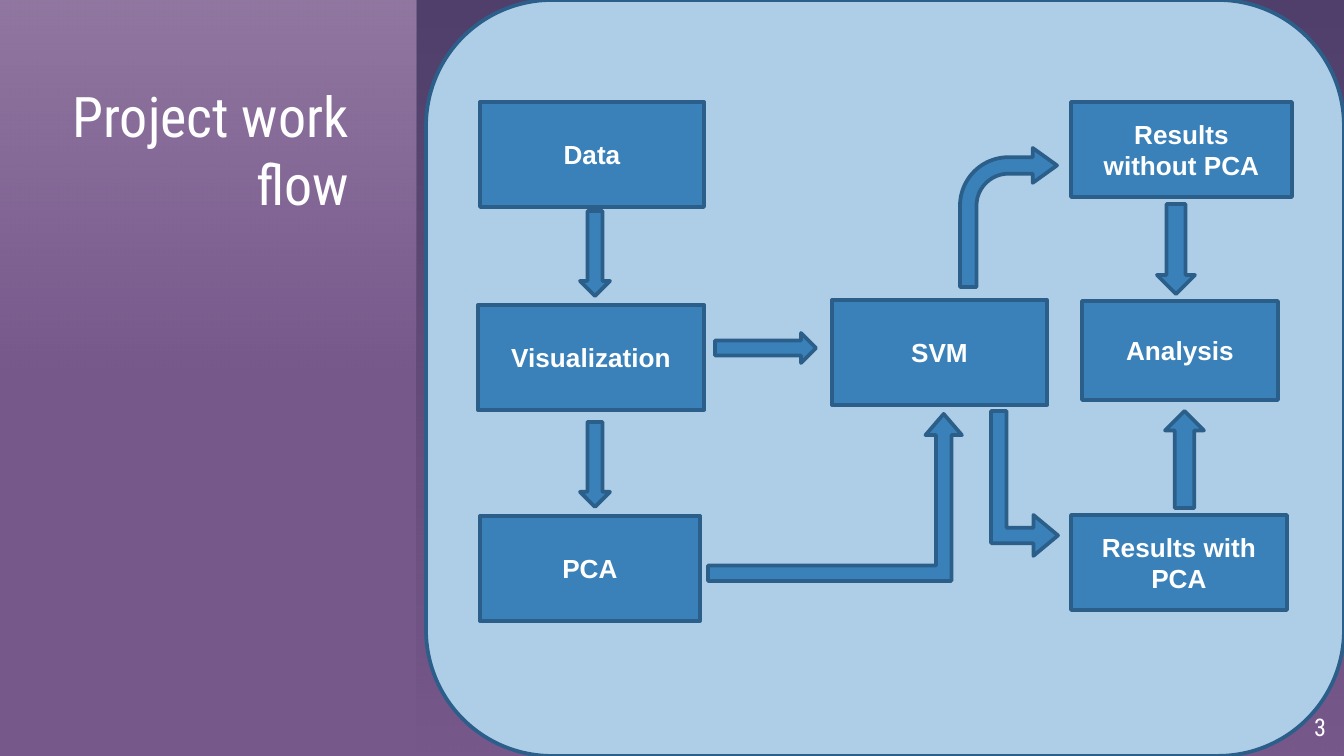
"""Builds the project work flow slide."""
from dataclasses import dataclass

import lxml.etree
import pptx
import pptx.dml.color
import pptx.enum.shapes
import pptx.enum.text
import pptx.oxml.ns
import pptx.util

RGB = pptx.dml.color.RGBColor
KIND = pptx.enum.shapes.MSO_SHAPE
ANCHOR = pptx.enum.text.MSO_ANCHOR
ALIGN = pptx.enum.text.PP_ALIGN
EMU_PER_PIXEL = 914400 / 134.4

PURPLE = RGB(0x77, 0x58, 0x8B)
NAVY = RGB(0x02, 0x0F, 0x2B)
DARK_NAVY = RGB(0x01, 0x0C, 0x16)
WHITE = RGB(0xFF, 0xFF, 0xFF)
PALE_BLUE = RGB(0xAE, 0xCD, 0xE6)
BLUE = RGB(0x3A, 0x81, 0xBA)
DEEP_BLUE = RGB(0x2B, 0x5F, 0x8A)


@dataclass(frozen=True)
class Frame:
    left: int
    top: int
    width: int
    height: int

    def emu(self) -> list[int]:
        return [px(n) for n in (self.left, self.top, self.width, self.height)]


@dataclass(frozen=True)
class Step:
    label: str
    frame: Frame


@dataclass(frozen=True)
class Arrow:
    kind: KIND
    frame: Frame
    bends: tuple[float, ...] = ()
    rotation: int = 0


STEPS = (
    Step("Data", Frame(480, 102, 224, 105)),
    Step("Visualization", Frame(478, 305, 226, 105)),
    Step("PCA", Frame(480, 516, 220, 105)),
    Step("SVM", Frame(832, 300, 215, 105)),
    Step("Results without PCA", Frame(1071, 102, 221, 95)),
    Step("Results with PCA", Frame(1071, 515, 216, 95)),
    Step("Analysis", Frame(1082, 301, 196, 99)),
)

ARROWS = (
    Arrow(KIND.DOWN_ARROW, Frame(580, 211, 30, 85)),
    Arrow(KIND.DOWN_ARROW, Frame(580, 422, 30, 85)),
    Arrow(KIND.RIGHT_ARROW, Frame(715, 333, 101, 30)),
    Arrow(KIND.BENT_UP_ARROW, Frame(708, 414, 254, 167), (0.092, 0.109, 0.127)),
    Arrow(KIND.BENT_ARROW, Frame(960, 148, 97, 139), (0.17, 0.18, 0.25, 0.5)),
    Arrow(KIND.BENT_UP_ARROW, Frame(952, 450, 145, 67), (0.23, 0.305, 0.368), 90),
    Arrow(KIND.DOWN_ARROW, Frame(1157, 204, 38, 90)),
    Arrow(KIND.UP_ARROW, Frame(1165, 411, 39, 97)),
)


def px(pixels: int) -> int:
    return round(pixels * EMU_PER_PIXEL)


def child(parent, tag: str, **attributes: str):
    element = lxml.etree.SubElement(parent, pptx.oxml.ns.qn(tag))
    for name, value in attributes.items():
        element.set(name, value)
    return element


def add_shade(slide, frame: Frame, colors: tuple[RGB, RGB], opacity: int) -> None:
    shade = slide.shapes.add_shape(KIND.RECTANGLE, *frame.emu())
    shade.shadow.inherit = False
    shade.line.fill.background()
    shade.fill.gradient()
    shade.fill.gradient_angle = 270
    stops = shade.fill.gradient_stops
    for stop, color, position in zip(stops, colors, (0, 1)):
        stop.color.rgb = color
        stop.position = position
    alphas = (opacity, 0)
    color_tag = pptx.oxml.ns.qn("a:srgbClr")
    for color, alpha in zip(shade.fill._xPr.iter(color_tag), alphas):
        child(color, "a:alpha", val=str(alpha * 1000))


def add_outlined(slide, kind: KIND, frame: Frame, fill: RGB):
    outlined = slide.shapes.add_shape(kind, *frame.emu())
    outlined.shadow.inherit = False
    outlined.fill.solid()
    outlined.fill.fore_color.rgb = fill
    outlined.line.color.rgb = DEEP_BLUE
    outlined.line.width = pptx.util.Pt(2)
    return outlined


def format_text(text_frame, align: ALIGN, font: str, size: int, bold: bool) -> None:
    text_frame.word_wrap = True
    for paragraph in text_frame.paragraphs:
        paragraph.alignment = align
        for run in paragraph.runs:
            run.font.name = font
            run.font.size = pptx.util.Pt(size)
            run.font.bold = bold
            run.font.color.rgb = WHITE


def add_caption(slide, text: str, frame: Frame, size: int, anchor: ANCHOR):
    caption = slide.shapes.add_textbox(*frame.emu()).text_frame
    caption.margin_left = caption.margin_right = 0
    caption.margin_top = caption.margin_bottom = 0
    caption.vertical_anchor = anchor
    caption.text = text
    format_text(caption, ALIGN.RIGHT, "Roboto Condensed", size, False)
    return caption


def add_text_shadow(text_frame) -> None:
    properties = text_frame.paragraphs[0].runs[0].font._rPr
    effects = child(properties, "a:effectLst")
    shadow = child(effects, "a:outerShdw", blurRad="38100", dist="38100", dir="2700000")
    color = child(shadow, "a:srgbClr", val="000000")
    child(color, "a:alpha", val="40000")
    properties.find(pptx.oxml.ns.qn("a:solidFill")).addnext(effects)


def add_step(slide, step: Step) -> None:
    box = add_outlined(slide, KIND.RECTANGLE, step.frame, BLUE)
    box.text_frame.text = step.label
    box.text_frame.vertical_anchor = ANCHOR.MIDDLE
    format_text(box.text_frame, ALIGN.CENTER, "Arial", 14, True)


def add_arrow(slide, arrow: Arrow) -> None:
    drawn = add_outlined(slide, arrow.kind, arrow.frame, BLUE)
    drawn.rotation = arrow.rotation
    for index, bend in enumerate(arrow.bends):
        drawn.adjustments[index] = bend


def build() -> None:
    deck = pptx.Presentation()
    deck.slide_width, deck.slide_height = px(1344), px(756)
    slide = deck.slides.add_slide(deck.slide_layouts[6])
    slide.background.fill.solid()
    slide.background.fill.fore_color.rgb = PURPLE
    add_shade(slide, Frame(417, -1, 928, 758), (NAVY, DARK_NAVY), 34)
    add_shade(slide, Frame(-1, -1, 418, 380), (WHITE, WHITE), 19)
    title_frame = Frame(66, 82, 283, 597)
    title = add_caption(slide, "Project work flow", title_frame, 30, ANCHOR.TOP)
    add_text_shadow(title)
    add_caption(slide, "3", Frame(1246, 698, 80, 58), 13, ANCHOR.MIDDLE)
    add_outlined(slide, KIND.ROUNDED_RECTANGLE, Frame(426, 0, 918, 756), PALE_BLUE)
    for step in STEPS:
        add_step(slide, step)
    for arrow in ARROWS:
        add_arrow(slide, arrow)
    deck.save("out.pptx")


build()
